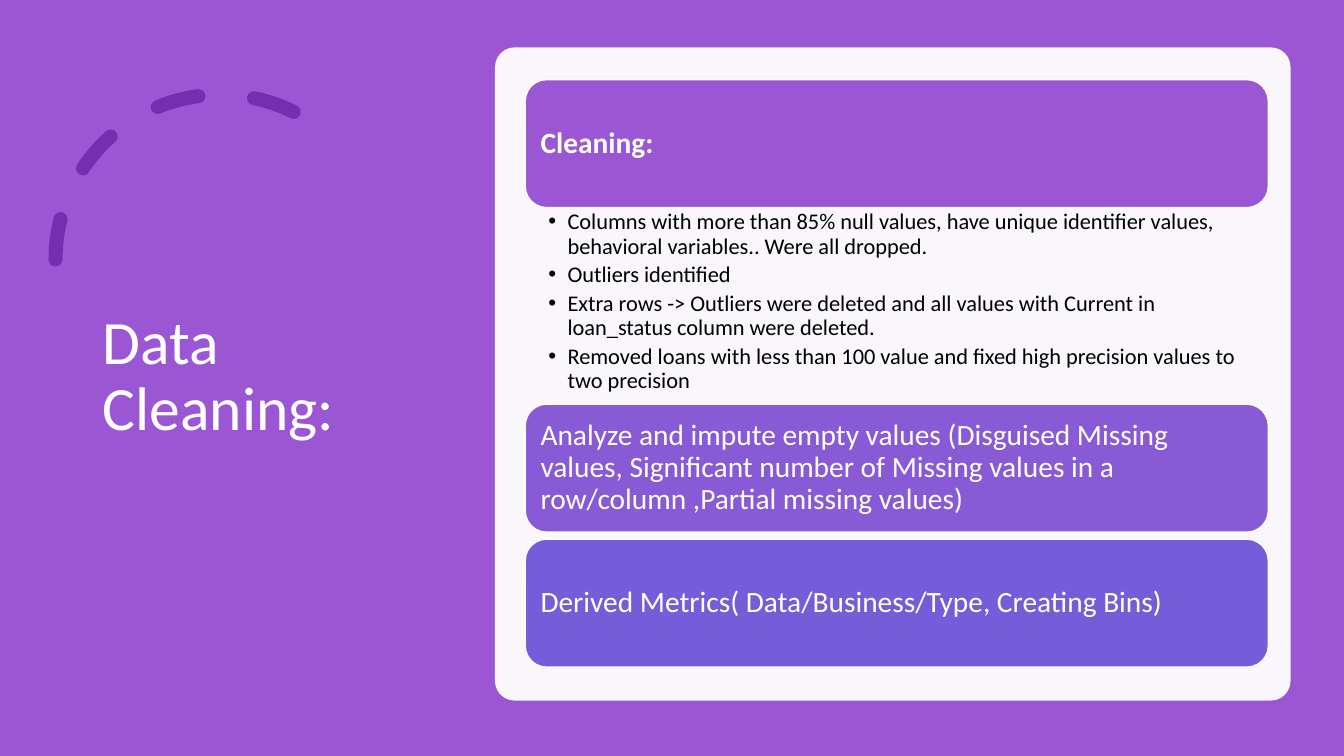
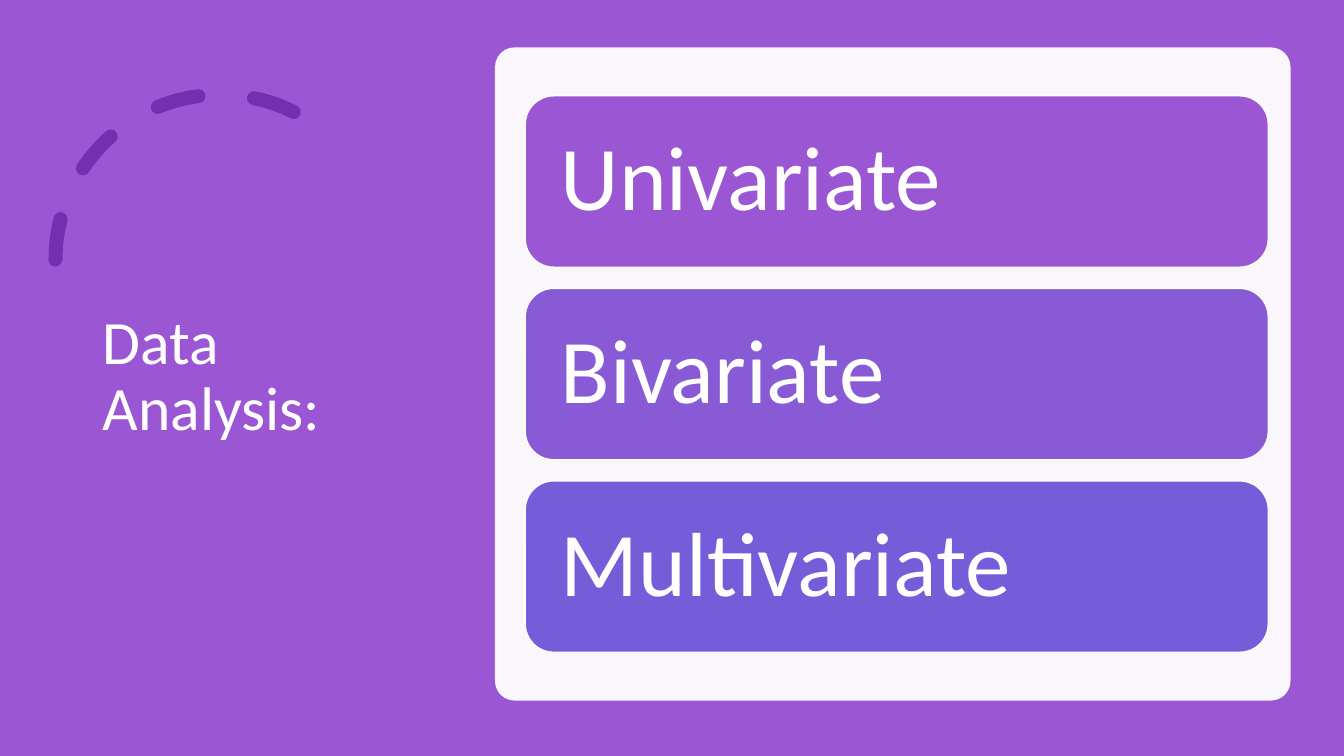
from dataclasses import dataclass

from lxml import etree
from pptx import Presentation
from pptx import util as u
from pptx.dml.color import RGBColor
from pptx.enum import dml, shapes, text
from pptx.oxml.ns import qn

WIDE, HIGH = u.Inches(13.33), u.Inches(7.5)
FONT = "Calibri"
WHITE, BLACK, BASE, DASH = "FFFFFF", "000000", "9B57D3", "762EB1"
TINTS = (BASE, "885AD6", "755DD9")
LEFT, SPAN = 39.08, 55.29


@dataclass(frozen=True)
class Box:
    x: float
    y: float
    w: float
    h: float

    def emu(self) -> tuple[int, int, int, int]:
        return (round(WIDE * self.x / 100), round(HIGH * self.y / 100),
                round(WIDE * self.w / 100), round(HIGH * self.h / 100))


@dataclass(frozen=True)
class Bar:
    label: str
    bold: bool = False
    points: tuple[str, ...] = ()


@dataclass(frozen=True)
class Page:
    title: str
    bars: tuple[Bar, ...]
    top: float
    tall: float
    gap: float
    size: float
    inset: float
    body: float = 0


ARC = Box(4.13, 12.53, 24.53, 43.6)
TITLE = Box(6.9, 9.33, 24.23, 81.2)
PANEL = Box(36.83, 6.27, 59.19, 86.4)

PAGES = (
    Page("Data Cleaning:", (
        Bar("Cleaning:", True, (
            "Columns with more than 85% null values, have unique identifier values, "
            "behavioral variables.. Were all dropped.",
            "Outliers identified",
            "Extra rows -> Outliers were deleted and all values with Current in "
            "loan_status column were deleted.",
            "Removed loans with less than 100 value and fixed high precision values "
            "to two precision",
        )),
        Bar("Analyze and impute empty values (Disguised Missing values, Significant "
            "number of Missing values in a row/column ,Partial missing values)"),
        Bar("Derived Metrics( Data/Business/Type, Creating Bins)"),
    ), top=10.53, tall=16.93, gap=0.93, size=21, inset=0.09, body=26),
    Page("Data Analysis:", (
        Bar("Univariate"), Bar("Bivariate"), Bar("Multivariate"),
    ), top=12.67, tall=22.67, gap=2.8, size=65, inset=0.27),
)


def color(code: str) -> RGBColor:
    return RGBColor.from_string(code)


def paint(fill, code: str) -> None:
    fill.solid()
    fill.fore_color.rgb = color(code)


def frame(shape, pad: tuple[float, ...], anchor=text.MSO_ANCHOR.MIDDLE):
    body = shape.text_frame
    body.word_wrap = True
    body.vertical_anchor = anchor
    (body.margin_left, body.margin_top,
     body.margin_right, body.margin_bottom) = map(u.Inches, pad)
    return body


def style(para, label: str, size: float, code: str = WHITE, bold: bool = False) -> None:
    para.text = label
    para.alignment = text.PP_ALIGN.LEFT
    para.line_spacing = 0.9
    font = para.font
    font.name, font.size, font.bold = FONT, u.Pt(size), bold
    font.color.rgb = color(code)


def round_box(slide, box: Box, code: str):
    shape = slide.shapes.add_shape(shapes.MSO_SHAPE.ROUNDED_RECTANGLE, *box.emu())
    shape.shadow.inherit = False
    paint(shape.fill, code)
    return shape


def draw_arc(slide) -> None:
    arc = slide.shapes.add_shape(shapes.MSO_SHAPE.ARC, *ARC.emu())
    arc.shadow.inherit = False
    arc.adjustments[0], arc.adjustments[1] = 146.13, 0
    arc.fill.background()
    arc.line.color.rgb = color(DASH)
    arc.line.width = u.Pt(10)
    arc.line.dash_style = dml.MSO_LINE.DASH
    props = arc.element.spPr
    props.find(qn("a:xfrm")).set("flipH", "1")
    props.find(qn("a:ln")).set("cap", "rnd")


def draw_base(slide, title: str) -> None:
    paint(slide.background.fill, BASE)
    draw_arc(slide)
    head = frame(slide.shapes.add_textbox(*TITLE.emu()), (0.1, 0.05, 0.1, 0.05))
    style(head.paragraphs[0], title, 44)
    panel = round_box(slide, PANEL, WHITE)
    panel.adjustments[0] = 0.03
    panel.line.fill.background()
    tone = panel.element.spPr.find(qn("a:solidFill"))[0]
    etree.SubElement(tone, qn("a:alpha")).set("val", "95000")


def draw_bar(slide, bar: Bar, page: Page, top: float, code: str) -> None:
    shape = round_box(slide, Box(LEFT, top, SPAN, page.tall), code)
    shape.line.color.rgb = color(WHITE)
    shape.line.width = u.Pt(1)
    body = frame(shape, (page.inset,) * 4)
    style(body.paragraphs[0], bar.label, page.size, bold=bar.bold)


def draw_list(slide, points: tuple[str, ...], box: Box) -> None:
    body = frame(slide.shapes.add_textbox(*box.emu()),
                 (0.23, 0.03, 0.16, 0.03), text.MSO_ANCHOR.TOP)
    for i, point in enumerate(points):
        para = body.add_paragraph() if i else body.paragraphs[0]
        props = para._p.get_or_add_pPr()
        props.set("marL", str(u.Inches(0.19)))
        props.set("indent", str(-u.Inches(0.19)))
        etree.SubElement(props, qn("a:buFont")).set("typeface", "Arial")
        etree.SubElement(props, qn("a:buChar")).set("char", "•")
        style(para, point, 16, BLACK)
        para.space_after = u.Pt(3.2)


def draw_page(slide, page: Page) -> None:
    draw_base(slide, page.title)
    top = page.top
    for bar, tint in zip(page.bars, TINTS):
        draw_bar(slide, bar, page, top, tint)
        top += page.tall
        if bar.points:
            draw_list(slide, bar.points, Box(LEFT, top, SPAN, page.body))
            top += page.body
        else:
            top += page.gap


def main() -> None:
    deck = Presentation()
    deck.slide_width, deck.slide_height = WIDE, HIGH
    for page in PAGES:
        draw_page(deck.slides.add_slide(deck.slide_layouts[6]), page)
    deck.save("out.pptx")


if __name__ == "__main__":
    main()
